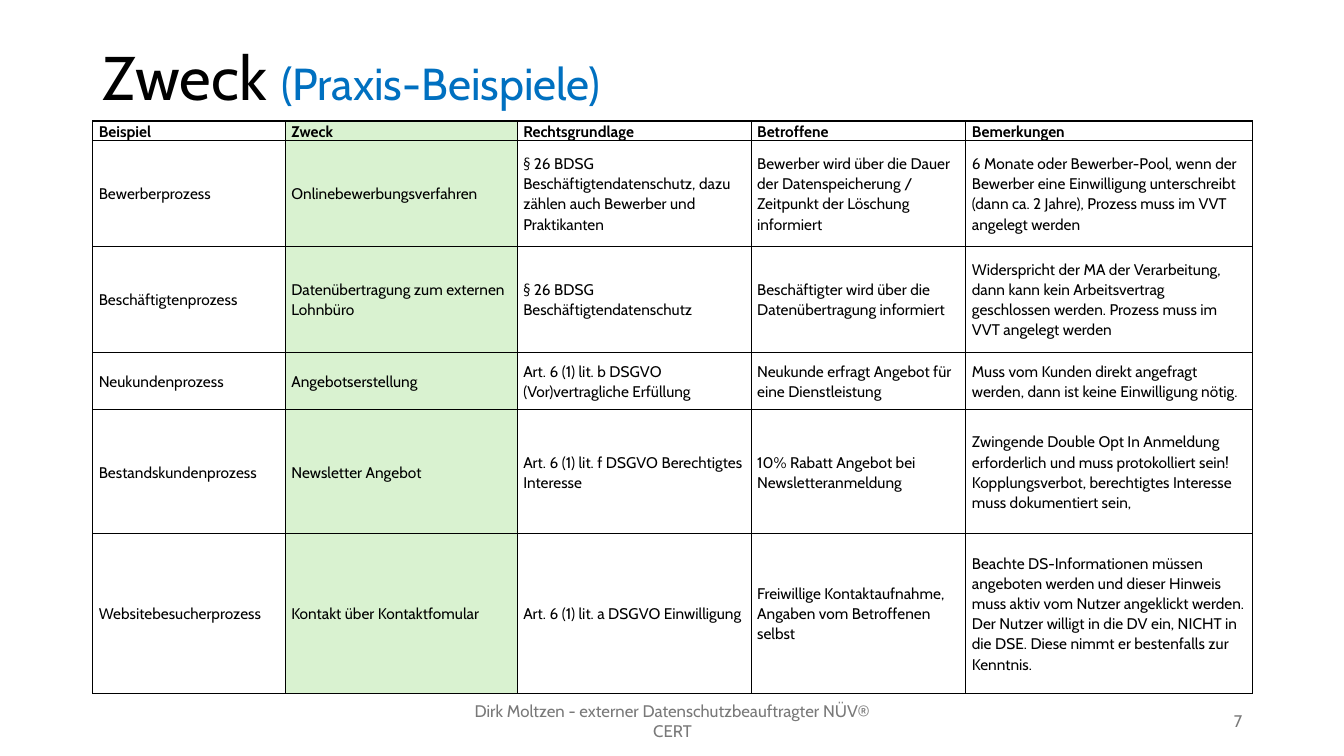
"""Build the slide with practical examples of processing purposes."""
from lxml import etree
from pptx import Presentation
from pptx.dml.color import RGBColor
from pptx.enum.text import MSO_ANCHOR, PP_ALIGN
from pptx.oxml.ns import qn
from pptx.util import Inches, Pt

MIDDLE = MSO_ANCHOR.MIDDLE
LEFT, CENTER, RIGHT = PP_ALIGN.LEFT, PP_ALIGN.CENTER, PP_ALIGN.RIGHT

FONT = "Cabin"
COLORS = {"black": "000000", "blue": "0070C0", "green": "D9F2D0", "gray": "797979"}
TITLE = [("Zweck ", 44, "black"), ("(Praxis-Beispiele)", 32, "blue")]
FOOTER = [("Dirk Moltzen - externer Datenschutzbeauftragter NÜV® CERT", 12, "gray")]
NUMBER = [("7", 12, "gray")]
COL_WIDTHS = [1.91, 2.3, 2.32, 2.13, 2.84]
ROW_HEIGHTS = [0.19, 1.05, 1.05, 0.57, 1.23, 1.58]
PURPOSE_COL = 1
ROWS = [
    ("Beispiel", "Zweck", "Rechtsgrundlage", "Betroffene", "Bemerkungen"),
    ("Bewerberprozess",
     "Onlinebewerbungsverfahren",
     "§ 26 BDSG\nBeschäftigtendatenschutz, dazu zählen auch Bewerber und Praktikanten",
     "Bewerber wird über die Dauer der Datenspeicherung / Zeitpunkt der Löschung informiert",
     "6 Monate oder Bewerber-Pool, wenn der Bewerber eine Einwilligung unterschreibt "
     "(dann ca. 2 Jahre), Prozess muss im VVT angelegt werden"),
    ("Beschäftigtenprozess",
     "Datenübertragung zum externen Lohnbüro",
     "§ 26 BDSG Beschäftigtendatenschutz",
     "Beschäftigter wird über die Datenübertragung informiert",
     "Widerspricht der MA der Verarbeitung, dann kann kein Arbeitsvertrag geschlossen "
     "werden. Prozess muss im VVT angelegt werden"),
    ("Neukundenprozess",
     "Angebotserstellung",
     "Art. 6 (1) lit. b DSGVO\n(Vor)vertragliche Erfüllung",
     "Neukunde erfragt Angebot für eine Dienstleistung",
     "Muss vom Kunden direkt angefragt werden, dann ist keine Einwilligung nötig."),
    ("Bestandskundenprozess",
     "Newsletter Angebot",
     "Art. 6 (1) lit. f DSGVO Berechtigtes Interesse",
     "10% Rabatt Angebot bei Newsletteranmeldung",
     "Zwingende Double Opt In Anmeldung erforderlich und muss protokolliert sein!\n"
     "Kopplungsverbot, berechtigtes Interesse muss dokumentiert sein,"),
    ("Websitebesucherprozess",
     "Kontakt über Kontaktfomular",
     "Art. 6 (1) lit. a DSGVO Einwilligung",
     "Freiwillige Kontaktaufnahme, Angaben vom Betroffenen selbst",
     "Beachte DS-Informationen müssen angeboten werden und dieser Hinweis muss aktiv vom "
     "Nutzer angeklickt werden. Der Nutzer willigt in die DV ein, NICHT in die DSE. "
     "Diese nimmt er bestenfalls zur Kenntnis."),
]


def rgb(name):
    return RGBColor.from_string(COLORS[name])


def set_font(font, size, color, bold=False):
    font.name, font.size, font.bold = FONT, Pt(size), bold
    font.color.rgb = rgb(color)


def add_text(slide, box, runs, align=LEFT, line_spacing=1.0):
    tf = slide.shapes.add_textbox(*map(Inches, box)).text_frame
    tf.word_wrap = True
    tf.vertical_anchor = MIDDLE
    p = tf.paragraphs[0]
    p.alignment, p.line_spacing = align, line_spacing
    for text, size, color in runs:
        r = p.add_run()
        r.text = text
        set_font(r.font, size, color)


def add_borders(cell):
    tc_pr = cell._tc.get_or_add_tcPr()
    for i, side in enumerate(("lnL", "lnR", "lnT", "lnB")):
        ln = etree.Element(qn(f"a:{side}"), w=str(Pt(1)))
        fill = etree.SubElement(ln, qn("a:solidFill"))
        etree.SubElement(fill, qn("a:srgbClr"), val=COLORS["black"])
        tc_pr.insert(i, ln)


def fill_cell(cell, text, header, highlighted):
    cell.margin_left = cell.margin_right = Inches(0.06)
    cell.margin_top = cell.margin_bottom = 0
    cell.vertical_anchor = MIDDLE
    p = cell.text_frame.paragraphs[0]
    p.text = text.replace("\n", "\v")
    p.line_spacing, p.space_after = 1.07, Pt(8)
    set_font(p.font, 11, "black", header)
    if highlighted:
        cell.fill.solid()
        cell.fill.fore_color.rgb = rgb("green")
    else:
        cell.fill.background()
    add_borders(cell)


def add_examples(slide):
    box = (0.92, 1.2, sum(COL_WIDTHS), sum(ROW_HEIGHTS))
    table = slide.shapes.add_table(len(ROWS), len(COL_WIDTHS), *map(Inches, box)).table
    table.horz_banding = False
    for col, width in zip(table.columns, COL_WIDTHS):
        col.width = Inches(width)
    for row, height in zip(table.rows, ROW_HEIGHTS):
        row.height = Inches(height)
    for i, texts in enumerate(ROWS):
        for j, text in enumerate(texts):
            fill_cell(table.cell(i, j), text, i == 0, j == PURPOSE_COL)


def main():
    prs = Presentation()
    prs.slide_width, prs.slide_height = Inches(13.33), Inches(7.5)
    slide = prs.slides.add_slide(prs.slide_layouts[6])
    add_text(slide, (0.92, 0.4, 11.5, 0.8), TITLE, line_spacing=0.9)
    add_examples(slide)
    add_text(slide, (4.42, 6.95, 4.5, 0.4), FOOTER, CENTER)
    add_text(slide, (9.42, 6.95, 3, 0.4), NUMBER, RIGHT)
    prs.save("out.pptx")


if __name__ == "__main__":
    main()
